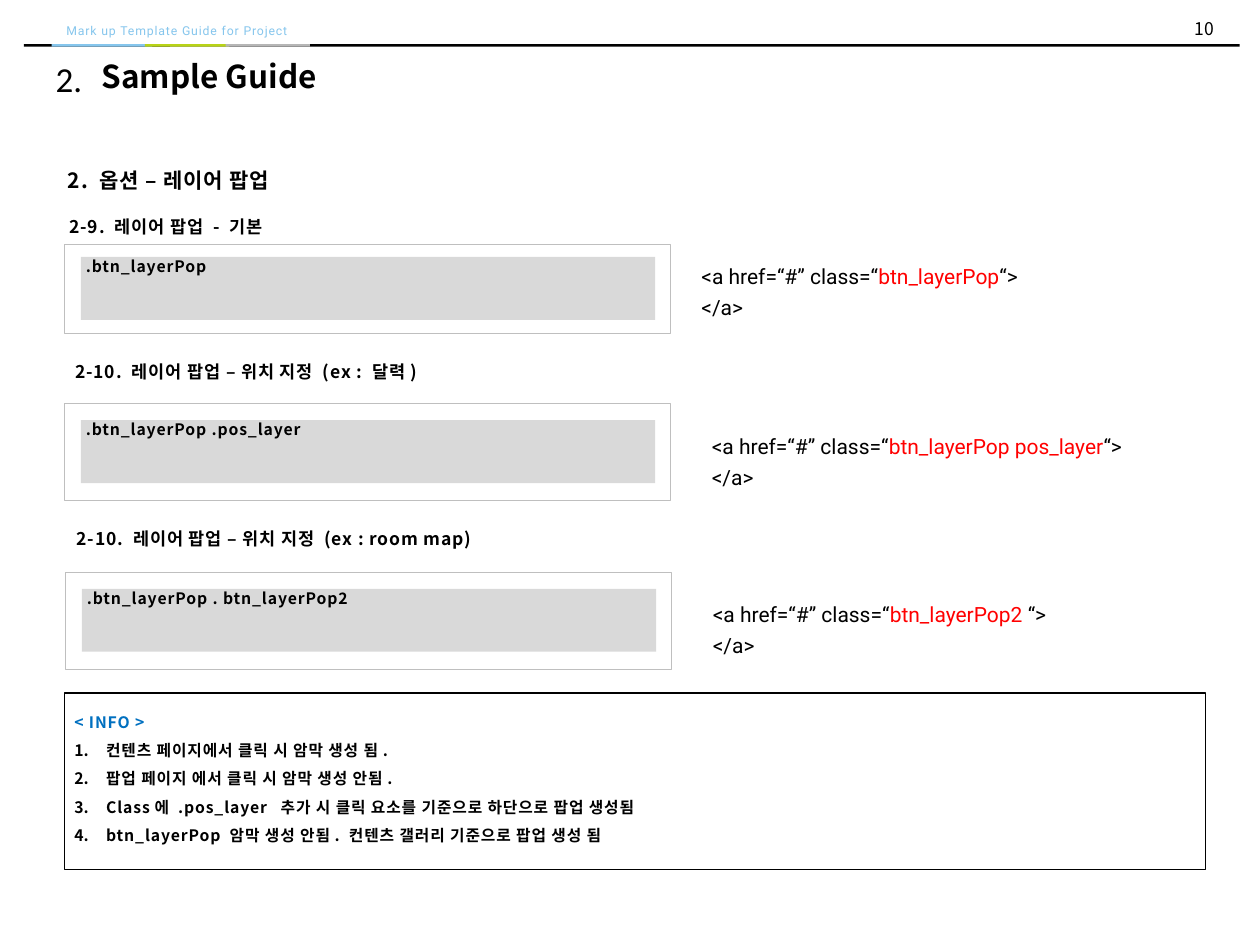
from dataclasses import dataclass

import pptx
import pptx.dml.color
import pptx.enum.shapes
import pptx.enum.text
import pptx.oxml.ns
import pptx.util
from lxml import etree
from pptx.util import Cm

COLORS = {
    "black": "000000", "white": "FFFFFF", "red": "FF0000", "info": "0070C0",
    "frame": "BFBFBF", "button": "B5B5B5",
    "sky": "86C6ED", "lime": "B8D317", "gray": "B6B6B6",
}
KOREAN = "Noto Sans CJK KR"
ROBOTO = "Roboto"
INSET = (0.25, 0.13, 0.25, 0.13)
LABEL_INSET = (0.1, 0, 0, 0)


@dataclass
class Box:
    left: float
    top: float
    width: float
    height: float

    def lengths(self) -> tuple:
        return Cm(self.left), Cm(self.top), Cm(self.width), Cm(self.height)


@dataclass
class Style:
    size: float
    font: str = KOREAN
    color: str = "black"
    bold: bool = False
    spacing: int = 0  # hundredths of a point


@dataclass
class Sample:
    heading: str
    heading_box: Box
    heading_inset: tuple
    frame: Box
    button_top: float
    label: str
    css_class: str
    code_left: float
    code_top: float


HEADING = Style(10, bold=True, spacing=50)
LABEL = Style(9, bold=True, spacing=50)
CODE = Style(12, ROBOTO)

SAMPLES = [
    Sample("2-9. 레이어 팝업 - 기본", Box(1.3, 4.14, 4.17, 0.64), LABEL_INSET,
           Box(1.3, 4.93, 12.22, 1.78), 5.18, ".btn_layerPop", "btn_layerPop", 13.89, 5.05),
    Sample("2-10. 레이어 팝업 – 위치 지정 (ex : 달력)", Box(1.27, 6.93, 7.87, 0.89), INSET,
           Box(1.3, 8.13, 12.22, 1.96), 8.47, ".btn_layerPop .pos_layer",
           "btn_layerPop pos_layer", 14.1, 8.48),
    Sample("2-10. 레이어 팝업 – 위치 지정 (ex : room map)", Box(1.3, 10.31, 8.92, 0.89), INSET,
           Box(1.32, 11.53, 12.22, 1.96), 11.87, ".btn_layerPop . btn_layerPop2",
           "btn_layerPop2 ", 14.12, 11.86),
]
INFO = [
    "< INFO >",
    "컨텐츠 페이지에서 클릭 시 암막 생성 됨.",
    "팝업 페이지 에서 클릭 시 암막 생성 안됨.",
    "Class에 .pos_layer  추가 시 클릭 요소를 기준으로 하단으로 팝업 생성됨",
    "btn_layerPop 암막 생성 안됨. 컨텐츠 갤러리 기준으로 팝업 생성 됨",
]


def rgb(name: str) -> pptx.dml.color.RGBColor:
    return pptx.dml.color.RGBColor.from_string(COLORS[name])


def format_span(span, style: Style) -> None:
    span.font.size = pptx.util.Pt(style.size)
    span.font.name = style.font
    span.font.bold = style.bold
    span.font.color.rgb = rgb(style.color)
    properties = span.font._element
    if style.spacing:
        properties.set("spc", str(style.spacing))
    east_asian = etree.SubElement(properties, pptx.oxml.ns.qn("a:ea"))
    east_asian.set("typeface", KOREAN)


def fill_frame(frame, text: str, style: Style, inset=INSET, line=None, wrap=True,
               align=pptx.enum.text.PP_ALIGN.LEFT,
               anchor=pptx.enum.text.MSO_ANCHOR.TOP) -> None:
    frame.text = text
    frame.word_wrap = wrap
    frame.auto_size = pptx.enum.text.MSO_AUTO_SIZE.NONE
    frame.vertical_anchor = anchor
    (frame.margin_left, frame.margin_top,
     frame.margin_right, frame.margin_bottom) = map(Cm, inset)
    for para in frame.paragraphs:
        para.alignment = align
        para.line_spacing = line
        for span in para.runs:
            format_span(span, style)


def add_text(page, box: Box, text: str, style: Style, **options):
    shape = page.shapes.add_textbox(*box.lengths())
    fill_frame(shape.text_frame, text, style, **options)
    return shape


def add_rect(page, box: Box, fill: str, opacity=100, line="", line_width=0.25):
    shape = page.shapes.add_shape(pptx.enum.shapes.MSO_SHAPE.RECTANGLE, *box.lengths())
    shape.shadow.inherit = False
    shape.fill.solid()
    shape.fill.fore_color.rgb = rgb(fill)
    if opacity < 100:
        color = shape._element.spPr.find(".//" + pptx.oxml.ns.qn("a:srgbClr"))
        alpha = etree.SubElement(color, pptx.oxml.ns.qn("a:alpha"))
        alpha.set("val", str(opacity * 1000))
    if line:
        shape.line.color.rgb = rgb(line)
        shape.line.width = pptx.util.Pt(line_width)
    else:
        shape.line.fill.background()
    return shape


def add_code(page, sample: Sample) -> None:
    box = Box(sample.code_left, sample.code_top, 10.8, 1.55)
    shape = add_text(page, box, "", CODE)
    opening = shape.text_frame.paragraphs[0]
    closing = shape.text_frame.add_paragraph()
    parts = [(opening, "<a href=“#” class=“", "black"), (opening, sample.css_class, "red"),
             (opening, "“>", "black"), (closing, "</a>", "black")]
    for para, text, color in parts:
        para.line_spacing = pptx.util.Pt(18)
        span = para.add_run()
        span.text = text
        format_span(span, Style(CODE.size, CODE.font, color))


def add_sample(page, sample: Sample) -> None:
    add_text(page, sample.heading_box, sample.heading, HEADING,
             inset=sample.heading_inset, line=1.5, wrap=False)
    add_rect(page, sample.frame, "white", 20, "frame")
    button_box = Box(sample.frame.left + 0.33, sample.button_top, 11.58, 1.27)
    button = add_rect(page, button_box, "button", 50)
    fill_frame(button.text_frame, sample.label, LABEL, inset=LABEL_INSET)
    add_code(page, sample)


def add_header(page) -> None:
    add_rect(page, Box(0.48, 0.89, 24.51, 0.05), "black")
    add_text(page, Box(19.79, 0.2, 4.93, 0.74), "10", Style(10),
             align=pptx.enum.text.PP_ALIGN.RIGHT, anchor=pptx.enum.text.MSO_ANCHOR.MIDDLE)
    add_text(page, Box(1.09, 0.33, 7.57, 0.56), "Mark up Template Guide for Project",
             Style(7, ROBOTO, "sky", spacing=50))
    for left, width, color in [(1.04, 2.03, "sky"), (3.43, 1.19, "gray"),
                               (2.92, 1.7, "lime"), (4.55, 1.7, "gray")]:
        add_rect(page, Box(left, 0.89, width, 0.05), color)


def add_info(page) -> None:
    panel = add_rect(page, Box(1.3, 13.97, 23.01, 3.56), "white", 50, "black", 0.75)
    fill_frame(panel.text_frame, "\n".join(INFO), LABEL, inset=(0.2, 0.2, 0.2, 0), line=1.5)
    title, *items = panel.text_frame.paragraphs
    title.runs[0].font.color.rgb = rgb("info")
    for para in items:
        properties = para._p.get_or_add_pPr()
        properties.set("marL", str(Cm(0.64)))
        properties.set("indent", str(-Cm(0.64)))
        number = etree.SubElement(properties, pptx.oxml.ns.qn("a:buAutoNum"))
        number.set("type", "arabicPeriod")


def main() -> None:
    deck = pptx.Presentation()
    deck.slide_width, deck.slide_height = Cm(25.4), Cm(19.05)
    page = deck.slides.add_slide(deck.slide_layouts[5])

    # Header band and title
    add_header(page)
    title = page.shapes.title
    title.left, title.top, title.width, title.height = Box(1.8, 1.02, 11.71, 1.02).lengths()
    fill_frame(title.text_frame, "Sample Guide", Style(18, bold=True))
    add_text(page, Box(0.69, 1.02, 1.4, 1.12), "2.", Style(20, "Calibri"),
             align=pptx.enum.text.PP_ALIGN.CENTER)

    # Section heading and samples
    add_text(page, Box(1.27, 3.12, 4.7, 0.76), "2. 옵션 – 레이어 팝업",
             Style(12, bold=True, spacing=50), inset=LABEL_INSET, line=1.5, wrap=False)
    for sample in SAMPLES:
        add_sample(page, sample)

    # Notes panel
    add_info(page)
    deck.save("out.pptx")


if __name__ == "__main__":
    main()
